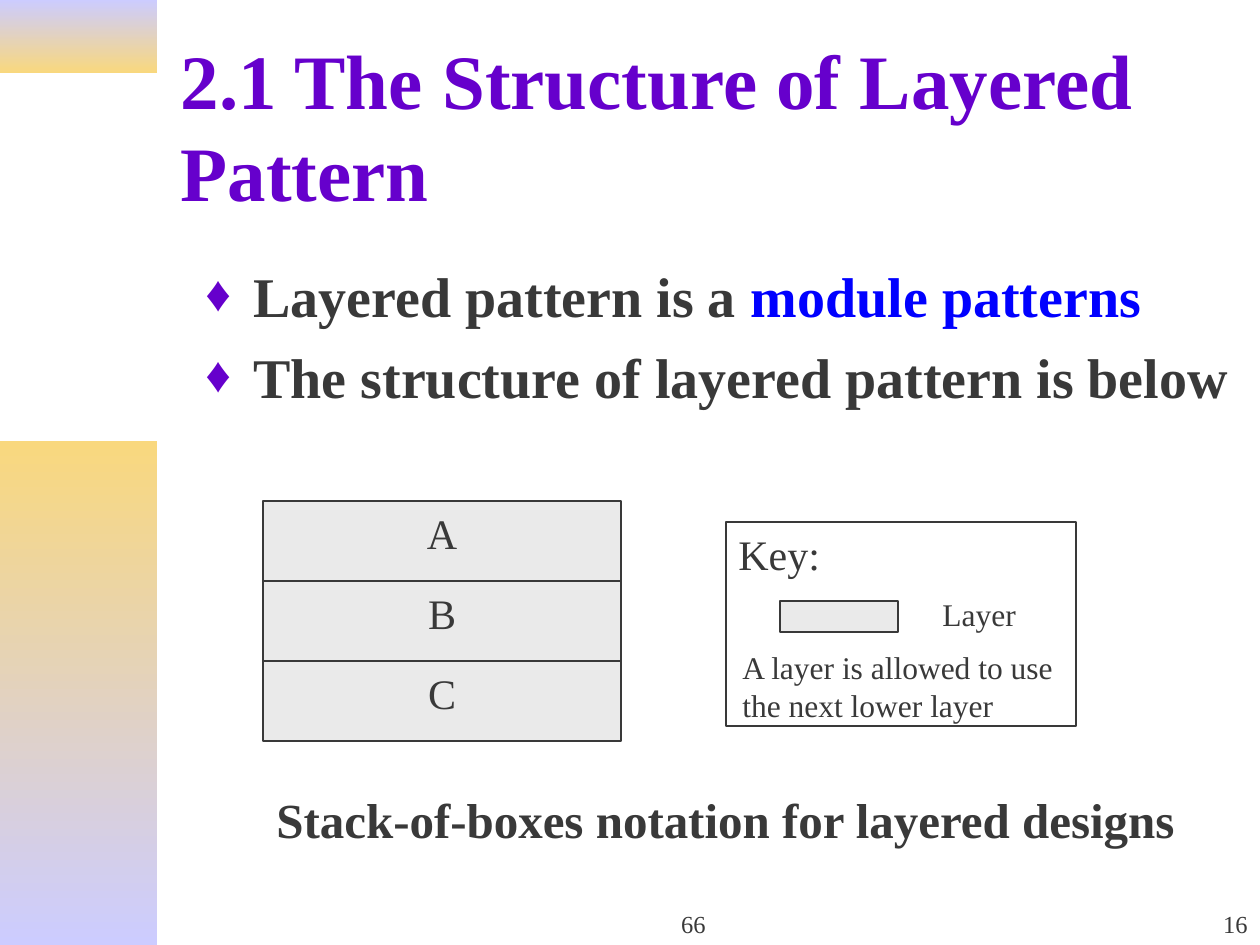
from dataclasses import dataclass

from lxml import etree
from pptx import Presentation
from pptx.dml.color import RGBColor
from pptx.enum import shapes, text
from pptx.oxml import ns
from pptx.util import Emu, Pt

PX = 914400 / 126


@dataclass(frozen=True)
class Theme:
    font: str = "Times New Roman"
    ink: str = "393939"
    accent: str = "6600CC"
    highlight: str = "0000FF"
    layer: str = "EAEAEA"
    paper: str = "FFFFFF"
    lilac: str = "CCCCFF"
    gold: str = "F9D87E"
    title: int = 44
    bullet: int = 32
    caption: int = 28
    label: int = 24
    note: int = 18
    footer: int = 14


THEME = Theme()


def px(*lengths):
    return [Emu(round(length * PX)) for length in lengths]


def rgb(code):
    return RGBColor.from_string(code)


def style(paragraph, size, color=THEME.ink, bold=False, align=text.PP_ALIGN.LEFT):
    paragraph.alignment = align
    font = paragraph.font
    font.name, font.size, font.bold = THEME.font, Pt(size), bold
    font.color.rgb = rgb(color)


def write(frame, lines, size, wrap=False, anchor=text.MSO_ANCHOR.TOP, **look):
    frame.text = lines
    frame.word_wrap = wrap
    frame.vertical_anchor = anchor
    for paragraph in frame.paragraphs:
        style(paragraph, size, **look)


def add_text(slide, box, lines, size, **look):
    frame = slide.shapes.add_textbox(*px(*box)).text_frame
    write(frame, lines, size, **look)


def add_box(slide, box, fill):
    rect = slide.shapes.add_shape(shapes.MSO_SHAPE.RECTANGLE, *px(*box))
    rect.shadow.inherit = False
    rect.fill.solid()
    rect.fill.fore_color.rgb = rgb(fill)
    rect.line.color.rgb = rgb(THEME.ink)
    rect.line.width = Pt(1)
    return rect


def add_band(slide, box, colors):
    band = slide.shapes.add_shape(shapes.MSO_SHAPE.RECTANGLE, *px(*box))
    band.shadow.inherit = False
    band.line.fill.background()
    band.fill.gradient()
    band.fill.gradient_angle = 270
    for stop, color, position in zip(band.fill.gradient_stops, colors, (0, 1)):
        stop.color.rgb = rgb(color)
        stop.position = position


def add_sidebar(slide, box):
    left, top, width, height = box
    add_band(slide, (left, top, width, 73), (THEME.lilac, THEME.gold))
    add_band(slide, (left, top + 441, width, height - 441), (THEME.gold, THEME.lilac))


def add_title(slide, box, heading):
    title = slide.shapes.title
    title.left, title.top, title.width, title.height = px(*box)
    write(title.text_frame, heading, THEME.title, wrap=True,
          anchor=text.MSO_ANCHOR.MIDDLE, color=THEME.accent, bold=True)
    title.text_frame.auto_size = text.MSO_AUTO_SIZE.NONE


def add_bullet_mark(paragraph):
    properties = paragraph._p.get_or_add_pPr()
    indent = px(48)[0]
    properties.set("marL", str(indent))
    properties.set("indent", str(-indent))
    color = etree.SubElement(properties, ns.qn("a:buClr"))
    etree.SubElement(color, ns.qn("a:srgbClr"), val=THEME.accent)
    etree.SubElement(properties, ns.qn("a:buSzPct"), val="90000")
    etree.SubElement(properties, ns.qn("a:buFont"), typeface=THEME.font)
    etree.SubElement(properties, ns.qn("a:buChar"), char="♦")


def add_bullets(slide, box, bullets):
    frame = slide.shapes.add_textbox(*px(*box)).text_frame
    frame.word_wrap = True
    for index, (plain, highlighted) in enumerate(bullets):
        paragraph = frame.paragraphs[0] if index == 0 else frame.add_paragraph()
        add_bullet_mark(paragraph)
        style(paragraph, THEME.bullet, bold=True, align=text.PP_ALIGN.JUSTIFY)
        if index:
            paragraph.space_before = Pt(8)
        paragraph.add_run().text = plain
        if highlighted:
            emphasis = paragraph.add_run()
            emphasis.text = highlighted
            emphasis.font.color.rgb = rgb(THEME.highlight)


def add_layers(slide, box, names):
    left, top, width, height = box
    step = height / len(names)
    for index, name in enumerate(names):
        layer = add_box(slide, (left, top + index * step, width, step), THEME.layer)
        write(layer.text_frame, name, THEME.label, align=text.PP_ALIGN.CENTER)


def add_key(slide, box):
    left, top, width, height = box
    frame = add_box(slide, box, THEME.paper).text_frame
    write(frame, "Key:", THEME.label)
    add_box(slide, (left + 54, top + 79, 118, 31), THEME.layer)
    add_text(slide, (left + 204, top + 67, 120, 50), "Layer", THEME.note, wrap=True)
    add_text(slide, (left + 4, top + 120, width - 4, 88),
             "A layer is allowed to use\nthe next lower layer", THEME.note, wrap=True)


def add_footer(slide, box):
    left, top, width, height = box
    bottom = text.MSO_ANCHOR.BOTTOM
    add_text(slide, (left, top, 399, height), "66", THEME.footer,
             wrap=True, anchor=bottom, align=text.PP_ALIGN.CENTER)
    add_text(slide, (left + width - 262, top, 262, height), "16", THEME.footer,
             wrap=True, anchor=bottom, align=text.PP_ALIGN.RIGHT)


def main():
    deck = Presentation()
    deck.slide_width, deck.slide_height = px(1260, 945)
    slide = deck.slides.add_slide(deck.slide_layouts[5])
    add_sidebar(slide, (0, 0, 157, 945))
    add_title(slide, (168, 42, 1071, 166), "2.1 The Structure of Layered Pattern")
    add_bullets(slide, (193, 255, 1052, 169), [
        ("Layered pattern is a ", "module patterns"),
        ("The structure of layered pattern is below", ""),
    ])
    add_footer(slide, (494, 882, 766, 63))
    add_layers(slide, (263, 501, 358, 240), "ABC")
    add_text(slide, (264, 783, 940, 72),
             "Stack-of-boxes notation for layered designs", THEME.caption,
             wrap=True, bold=True)
    add_key(slide, (726, 522, 350, 204))
    deck.save("out.pptx")


if __name__ == "__main__":
    main()
